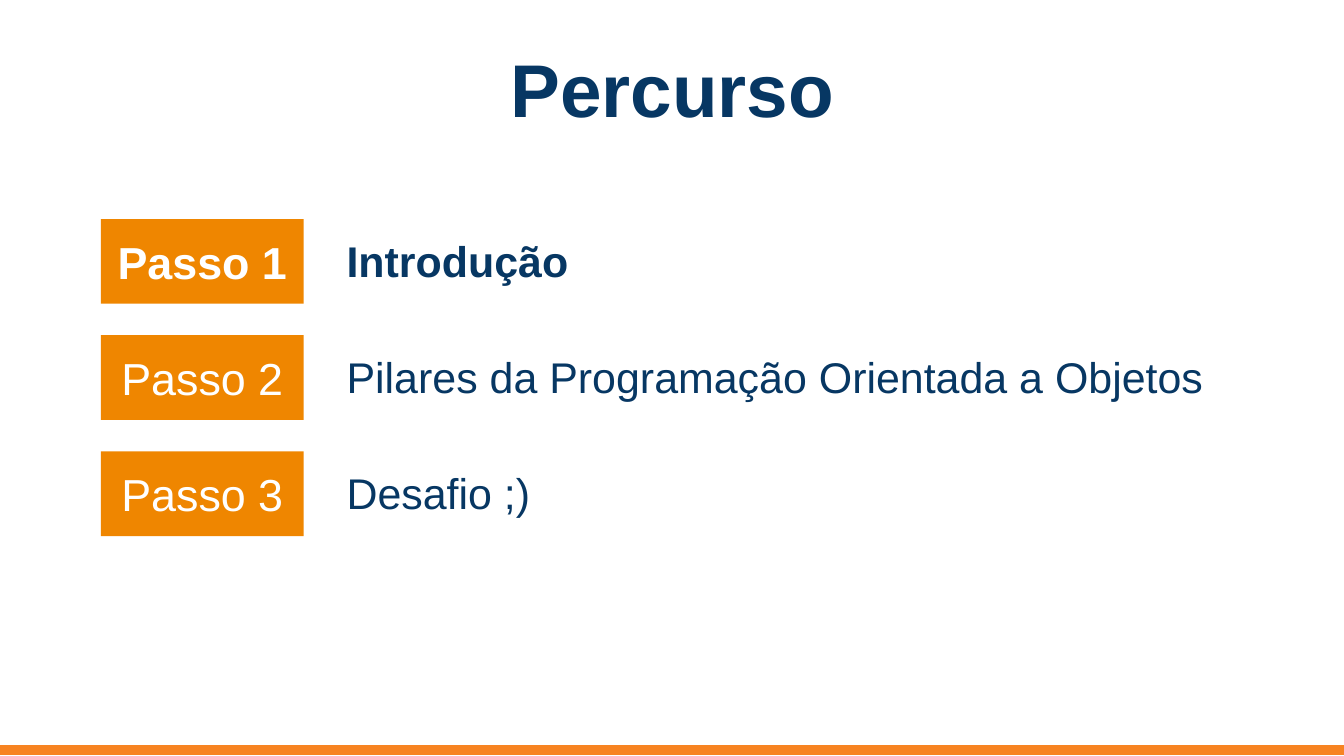
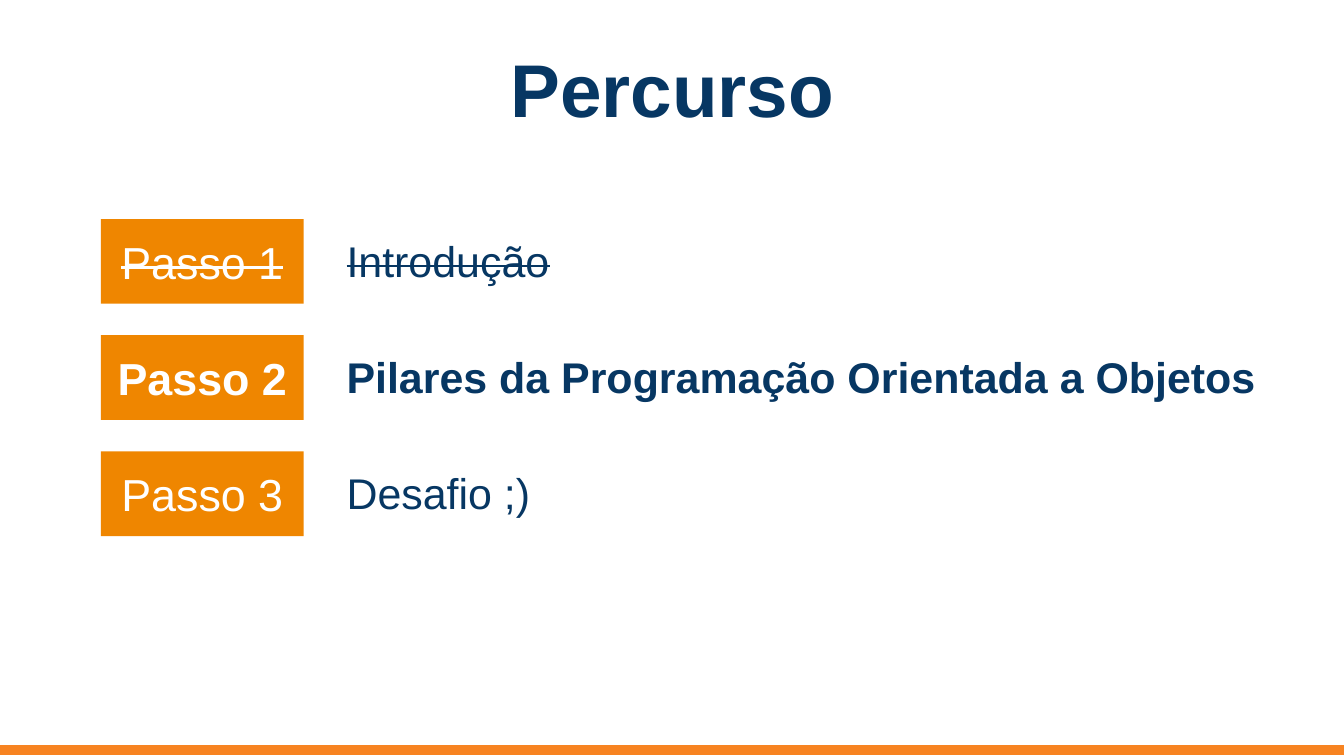
import pptx
import pptx.util
import pptx.dml.color
import pptx.enum.shapes
import pptx.enum.text

# Content: each step is (label, topic); each slide marks one step as current
TITLE = "Percurso"
STEPS = [
    ("Passo 1", "Introdução"),
    ("Passo 2", "Pilares da Programação Orientada a Objetos"),
    ("Passo 3", "Desafio ;)"),
]
CURRENT_STEPS = [0, 1]

THEME = {
    "font": "Arial",
    "navy": "073763",
    "orange": "EF8600",
    "footer": "F78321",
    "white": "FFFFFF",
    "title_size": 40,
    "label_size": 24,
    "topic_size": 23,
}

# Layout, in inches; the slide is 16:9
SLIDE_W = 10
SLIDE_H = SLIDE_W * 9 / 16
TITLE_BOX = (0.34, 0.33, 9.32, 0.65)
FOOTER_BOX = (0, 5.55, SLIDE_W, 0.06)
LABEL_X, LABEL_W, LABEL_H = 0.75, 1.51, 0.63
TOPIC_X, TOPIC_W, TOPIC_H = 2.48, 7.18, 0.5
FIRST_Y, LAST_Y = 1.63, 3.36
STEP_PITCH = (LAST_Y - FIRST_Y) / (len(STEPS) - 1)
TOPIC_INDENT = 0.5

Inches = pptx.util.Inches
ALIGN = pptx.enum.text.PP_ALIGN
ANCHOR = pptx.enum.text.MSO_ANCHOR


def color(name):
    return pptx.dml.color.RGBColor.from_string(THEME[name])


def add_bar(slide, box, fill):
    bar = slide.shapes.add_shape(
        pptx.enum.shapes.MSO_SHAPE.RECTANGLE, *map(Inches, box))
    bar.shadow.inherit = False
    bar.fill.solid()
    bar.fill.fore_color.rgb = color(fill)
    bar.line.fill.background()
    return bar


def write(shape, words, size, ink, align, anchor, inset_y, bold=False, struck=False):
    frame = shape.text_frame
    frame.word_wrap = True
    frame.vertical_anchor = anchor
    frame.margin_left = frame.margin_right = Inches(0.1)
    frame.margin_top = frame.margin_bottom = Inches(inset_y)
    paragraph = frame.paragraphs[0]
    paragraph.alignment = align
    run = paragraph.add_run()
    run.text = words
    run.font.name = THEME["font"]
    run.font.size = pptx.util.Pt(THEME[size])
    run.font.color.rgb = color(ink)
    run.font.bold = bold
    if struck:
        run._r.get_or_add_rPr().set("strike", "sngStrike")
    return paragraph


def add_frame(slide):
    """Title and footer band shared by all slides."""
    title = slide.shapes.add_textbox(*map(Inches, TITLE_BOX))
    write(title, TITLE, "title_size", "navy", ALIGN.CENTER, ANCHOR.MIDDLE, 0.1, bold=True)
    footer = add_bar(slide, FOOTER_BOX, "footer")
    footer.line.color.rgb = color("footer")
    footer.line.width = pptx.util.Pt(0.75)


def add_step(slide, index, current):
    label, topic = STEPS[index]
    top = FIRST_Y + index * STEP_PITCH
    emphasis = {"bold": index == current, "struck": index < current}

    label_bar = add_bar(slide, (LABEL_X, top, LABEL_W, LABEL_H), "orange")
    write(label_bar, label, "label_size", "white", ALIGN.CENTER, ANCHOR.MIDDLE, 0.1, **emphasis)

    topic_box = (TOPIC_X, top + (LABEL_H - TOPIC_H) / 2, TOPIC_W, TOPIC_H)
    topic_area = slide.shapes.add_textbox(*map(Inches, topic_box))
    paragraph = write(topic_area, topic, "topic_size", "navy", ALIGN.LEFT, ANCHOR.TOP, 0.05,
                      **emphasis)
    # Hanging indent
    properties = paragraph._p.get_or_add_pPr()
    properties.set("marL", str(Inches(TOPIC_INDENT)))
    properties.set("indent", str(-Inches(TOPIC_INDENT)))


# Build the deck
deck = pptx.Presentation()
deck.slide_width, deck.slide_height = Inches(SLIDE_W), Inches(SLIDE_H)
for current in CURRENT_STEPS:
    slide = deck.slides.add_slide(deck.slide_layouts[6])
    slide.background.fill.solid()
    slide.background.fill.fore_color.rgb = color("white")
    add_frame(slide)
    for index in range(len(STEPS)):
        add_step(slide, index, current)
deck.save("out.pptx")
